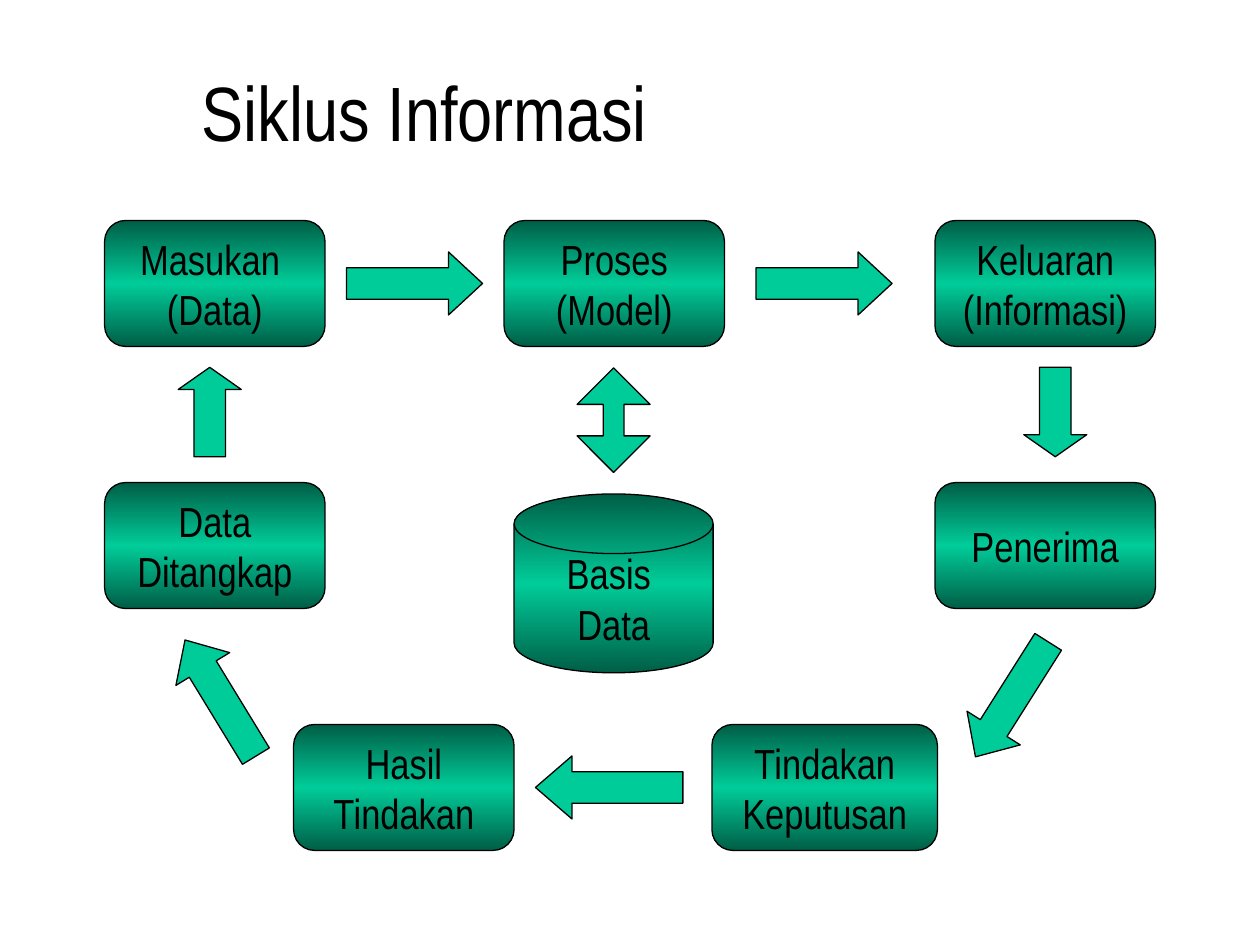
from copy import deepcopy

from pptx import Presentation
from pptx.dml.color import RGBColor
from pptx.enum.shapes import MSO_SHAPE as Shape
from pptx.enum.text import MSO_ANCHOR as Anchor, PP_ALIGN as Align
from pptx.util import Inches, Pt

FONT = "Arial Narrow"
BLACK = RGBColor(0x00, 0x00, 0x00)
GREEN = RGBColor(0x00, 0xCC, 0x99)
DARK_GREEN = RGBColor(0x00, 0x5E, 0x46)

NODE_WIDTH, NODE_HEIGHT = 1.75, 1
LEFT, MIDDLE, RIGHT = 0.83, 4, 7.42
TOP_ROW, CENTER_ROW, BOTTOM_ROW = 1.75, 3.83, 5.75

# label, left, top, width
NODES = [
    ("Masukan \n(Data)", LEFT, TOP_ROW, NODE_WIDTH),
    ("Proses\n(Model)", MIDDLE, TOP_ROW, NODE_WIDTH),
    ("Keluaran\n(Informasi)", RIGHT, TOP_ROW, NODE_WIDTH),
    ("Data Ditangkap", LEFT, CENTER_ROW, NODE_WIDTH),
    ("Penerima", RIGHT, CENTER_ROW, NODE_WIDTH),
    ("Hasil Tindakan", 2.33, BOTTOM_ROW, NODE_WIDTH),
    ("Tindakan Keputusan", 5.65, BOTTOM_ROW, 1.79),
]

# kind, box, head length relative to the shorter side, rotation
ARROWS = [
    (Shape.UP_DOWN_ARROW, (4.58, 2.92, 0.58, 0.83), 0.285, 0),
    (Shape.RIGHT_ARROW, (2.75, 2, 1.08, 0.5), 0.54, 0),
    (Shape.RIGHT_ARROW, (6, 2, 1.08, 0.5), 0.54, 0),
    (Shape.RIGHT_ARROW, (8.02, 3.02, 0.71, 0.5), 0.35, 90),
    (Shape.RIGHT_ARROW, (7.49, 5.3, 1.08, 0.5), 0.54, 122.3),
    (Shape.LEFT_ARROW, (4.25, 6, 1.17, 0.5), 0.58, 0),
    (Shape.RIGHT_ARROW, (1.21, 5.29, 1.08, 0.5), 0.54, 238.6),
    (Shape.RIGHT_ARROW, (1.31, 3.02, 0.71, 0.5), 0.35, 270),
]


def format_text(text_frame, size, alignment):
    text_frame.vertical_anchor = Anchor.MIDDLE
    for paragraph in text_frame.paragraphs:
        paragraph.alignment = alignment
        for run in paragraph.runs:
            run.font.name = FONT
            run.font.size = Pt(size)
            run.font.color.rgb = BLACK


def add_title(slide, text, box):
    title = slide.shapes.title
    title.left, title.top, title.width, title.height = map(Inches, box)
    title.text_frame.text = text
    format_text(title.text_frame, 44, Align.LEFT)


def add_outlined_shape(slide, kind, box):
    shape = slide.shapes.add_shape(kind, *map(Inches, box))
    shape.shadow.inherit = False
    shape.line.color.rgb = BLACK
    shape.line.width = Pt(0.75)
    return shape


def fill_with_band(shape):
    """Fill with a vertical gradient: dark edges and a bright middle."""
    shape.fill.gradient()
    shape.fill.gradient_angle = 90
    first, last = shape.fill.gradient_stops
    for stop, position, color in ((first, 0, DARK_GREEN), (last, 0.5, GREEN)):
        stop.position = position
        stop.color.rgb = color
    stop_list = shape.element.spPr.find(".//{*}gsLst")
    end_stop = deepcopy(stop_list[0])
    end_stop.set("pos", "100000")
    stop_list.append(end_stop)


def add_node(slide, kind, label, box):
    node = add_outlined_shape(slide, kind, box)
    fill_with_band(node)
    node.text_frame.text = label
    node.text_frame.word_wrap = "\n" not in label
    format_text(node.text_frame, 24, Align.CENTER)


def add_arrow(slide, kind, box, head, rotation):
    arrow = add_outlined_shape(slide, kind, box)
    arrow.fill.solid()
    arrow.fill.fore_color.rgb = GREEN
    arrow.adjustments[1] = head
    arrow.rotation = rotation


def main():
    presentation = Presentation()
    presentation.slide_width = Inches(10)
    presentation.slide_height = Inches(7.5)
    slide = presentation.slides.add_slide(presentation.slide_layouts[5])

    add_title(slide, "Siklus Informasi", (1.5, 0.25, 8.08, 1.25))
    for label, left, top, width in NODES:
        add_node(slide, Shape.ROUNDED_RECTANGLE, label, (left, top, width, NODE_HEIGHT))
    add_node(slide, Shape.FLOWCHART_MAGNETIC_DISK, "Basis \nData", (4.08, 3.92, 1.58, 1.42))
    for arrow in ARROWS:
        add_arrow(slide, *arrow)

    presentation.save("out.pptx")


if __name__ == "__main__":
    main()
